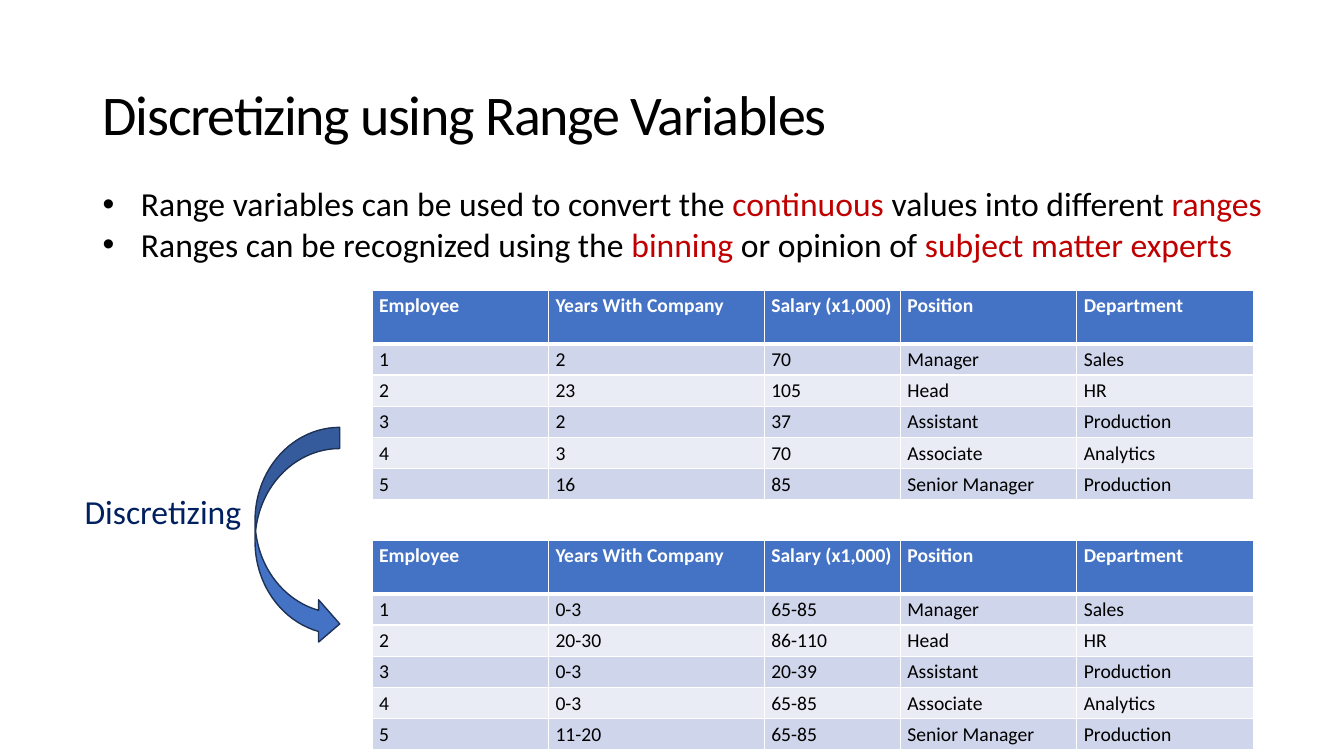
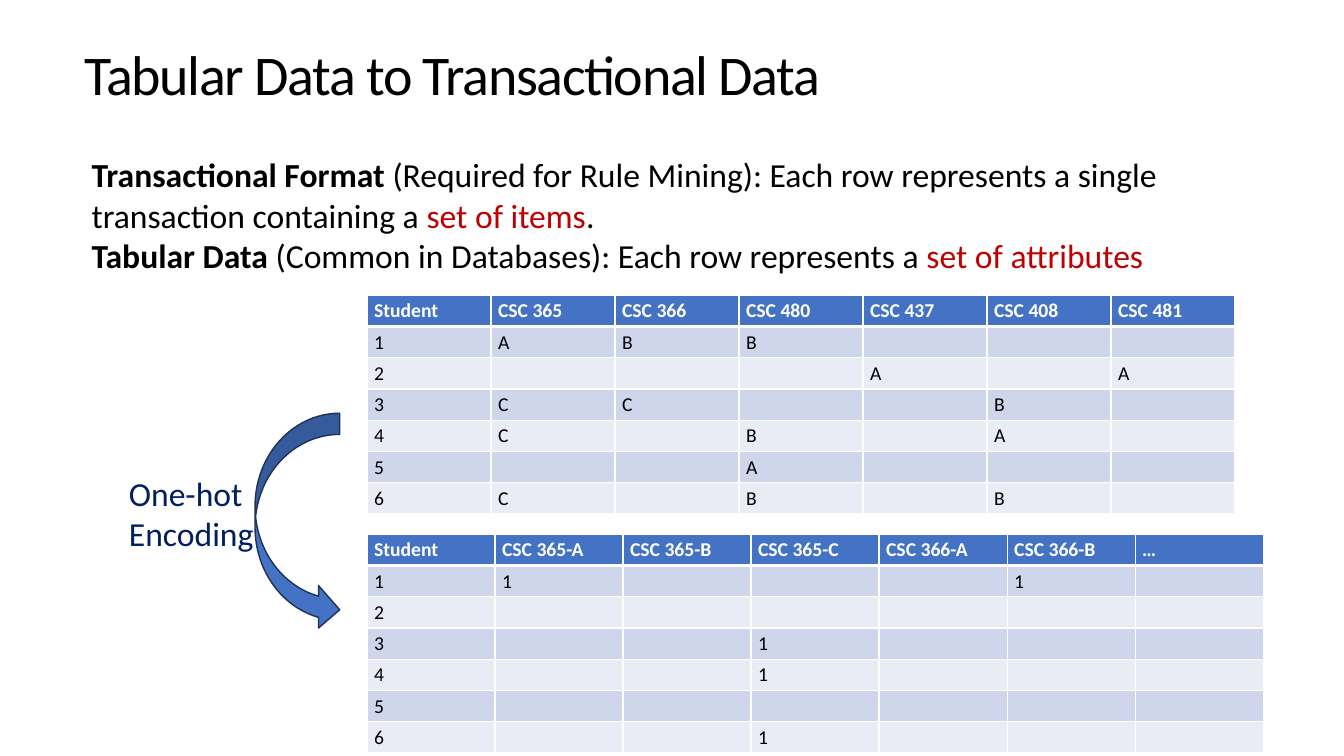
from lxml.etree import SubElement
from pptx import Presentation
from pptx.dml.color import RGBColor
from pptx.enum.shapes import MSO_SHAPE as Shape
from pptx.enum.text import MSO_ANCHOR as Anchor
from pptx.oxml.ns import qn
from pptx.util import Inches, Pt


def color(value):
    return RGBColor.from_string(value)


class Deck:
    font = "Calibri"
    black, white, red, navy = "000000", "FFFFFF", "C00000", "002060"
    blue, outline = "4472C4", "1E3256"
    bands = ("CFD5EA", "E9EBF5")
    title_size, body_size, table_size = 40, 24, 14
    row_height = 0.31

    def __init__(self):
        self.presentation = Presentation()
        self.presentation.slide_width = Inches(13.33)
        self.presentation.slide_height = Inches(7.5)
        self.slide = None

    def new_slide(self):
        self.slide = self.presentation.slides.add_slide(self.presentation.slide_layouts[6])

    def add_run(self, paragraph, text, size, fill, bold=False):
        run = paragraph.add_run()
        run.text = text
        run.font.name = self.font
        run.font.size = Pt(size)
        run.font.bold = bold
        run.font.color.rgb = color(fill)
        return run

    def text_frame(self, left, top, width, height):
        box = self.slide.shapes.add_textbox(Inches(left), Inches(top), Inches(width), Inches(height))
        box.text_frame.word_wrap = True
        return box.text_frame

    def title(self, text, left, top, width, indent=0, spacing=0.9):
        frame = self.text_frame(left, top, width, 1.45)
        frame.vertical_anchor = Anchor.MIDDLE
        paragraph = frame.paragraphs[0]
        paragraph.line_spacing = spacing
        paragraph._p.get_or_add_pPr().set("marL", str(Inches(indent)))
        run = self.add_run(paragraph, text, self.title_size, self.black)
        run.font._element.set("spc", "-90")

    def text(self, left, top, width, height, paragraphs, bullets=False):
        frame = self.text_frame(left, top, width, height)
        for index, runs in enumerate(paragraphs):
            paragraph = frame.add_paragraph() if index else frame.paragraphs[0]
            if bullets:
                properties = paragraph._p.get_or_add_pPr()
                properties.set("marL", str(Inches(0.38)))
                properties.set("indent", str(Inches(-0.38)))
                SubElement(properties, qn("a:buFont"), typeface="Arial")
                SubElement(properties, qn("a:buChar"), char="•")
            for text, fill, bold in runs:
                self.add_run(paragraph, text, self.body_size, fill, bold)

    def label(self, text, left, top, width, height):
        self.text(left, top, width, height, [[(text, self.navy, False)]])

    def curved_arrow(self, top):
        shape = self.slide.shapes.add_shape(
            Shape.CURVED_RIGHT_ARROW, Inches(2.53), Inches(top), Inches(0.84), Inches(2.16))
        shape.shadow.inherit = False
        shape.fill.solid()
        shape.fill.fore_color.rgb = color(self.blue)
        shape.line.color.rgb = color(self.outline)
        shape.line.width = Pt(1)

    def borders(self, cell, row):
        widths = {"L": 1, "R": 1, "T": 3 if row == 1 else 1, "B": 3 if row == 0 else 1}
        properties = cell._tc.get_or_add_tcPr()
        for side, width in widths.items():
            line = SubElement(properties, qn(f"a:ln{side}"), w=str(Pt(width)))
            SubElement(SubElement(line, qn("a:solidFill")), qn("a:srgbClr"), val=self.white)

    def cell(self, cell, row, text):
        cell.margin_left = cell.margin_right = Inches(0.07)
        cell.margin_top, cell.margin_bottom = Inches(0.04), Inches(0.03)
        self.borders(cell, row)
        header = row == 0
        cell.fill.solid()
        cell.fill.fore_color.rgb = color(self.blue if header else self.bands[(row - 1) % 2])
        paragraph = cell.text_frame.paragraphs[0]
        if text:
            self.add_run(paragraph, text, self.table_size, self.white if header else self.black, header)
        else:
            SubElement(paragraph._p, qn("a:endParaRPr"), sz=str(self.table_size * 100))

    def table(self, left, top, widths, rows, header_height=row_height):
        heights = [header_height] + [self.row_height] * (len(rows) - 1)
        table = self.slide.shapes.add_table(
            len(rows), len(widths), Inches(left), Inches(top),
            Inches(sum(widths)), Inches(sum(heights))).table
        for column, width in zip(table.columns, widths):
            column.width = Inches(width)
        for index, (values, height) in enumerate(zip(rows, heights)):
            table.rows[index].height = Inches(height)
            for column, value in enumerate(values):
                self.cell(table.cell(index, column), index, value)


def discretizing_slide(deck):
    deck.new_slide()
    deck.title("Discretizing using Range Variables", 0.92, 0.23, 11.5, spacing=1.5)
    header = ("Employee", "Years With Company", "Salary (x1,000)", "Position", "Department")
    jobs = [("Manager", "Sales"), ("Head", "HR"), ("Assistant", "Production"),
            ("Associate", "Analytics"), ("Senior Manager", "Production")]
    exact = [("2", "70"), ("23", "105"), ("2", "37"), ("3", "70"), ("16", "85")]
    ranges = [("0-3", "65-85"), ("20-30", "86-110"), ("0-3", "20-39"),
              ("0-3", "65-85"), ("11-20", "65-85")]
    for top, numbers in ((2.88, exact), (5.36, ranges)):
        rows = [(str(employee), *pair, *job)
                for employee, (pair, job) in enumerate(zip(numbers, jobs), 1)]
        deck.table(3.69, top, (1.75, 2.14, 1.35, 1.75, 1.75), [header] + rows, 0.53)
    deck.curved_arrow(4.24)
    deck.text(0.92, 1.77, 11.8, 0.91, [
        [("Range variables can be used to convert the ", deck.black, False),
         ("continuous", deck.red, False),
         (" values into different ", deck.black, False),
         ("ranges", deck.red, False)],
        [("Ranges can be recognized using the ", deck.black, False),
         ("binning", deck.red, False),
         (" or opinion of ", deck.black, False),
         ("subject matter experts", deck.red, False)],
    ], bullets=True)
    deck.label("Discretizing", 0.74, 4.82, 2.03, 0.5)


def transactional_slide(deck):
    deck.new_slide()
    deck.title("Tabular Data to Transactional Data", 0.24, 0.04, 12.86, indent=0.5)
    grades = [
        ("Student", "CSC 365", "CSC 366", "CSC 480", "CSC 437", "CSC 408", "CSC 481"),
        ("1", "A", "B", "B", "", "", ""),
        ("2", "", "", "", "A", "", "A"),
        ("3", "C", "C", "", "", "B", ""),
        ("4", "C", "", "B", "", "A", ""),
        ("5", "", "", "A", "", "", ""),
        ("6", "C", "", "B", "", "B", ""),
    ]
    encoded = [
        ("Student", "CSC 365-A", "CSC 365-B", "CSC 365-C", "CSC 366-A", "CSC 366-B", "…"),
        ("1", "1", "", "", "", "1", ""),
        ("2", "", "", "", "", "", ""),
        ("3", "", "", "1", "", "", ""),
        ("4", "", "", "1", "", "", ""),
        ("5", "", "", "", "", "", ""),
        ("6", "", "", "1", "", "", ""),
    ]
    deck.table(3.64, 2.93, [1.23] * 7, grades)
    deck.table(3.64, 5.3, [1.27] * 7, encoded)
    deck.curved_arrow(4.1)
    deck.text(0.81, 1.48, 11.92, 1.72, [
        [("Transactional Format ", deck.black, True),
         ("(Required for Rule Mining): Each row represents a single transaction containing a ",
          deck.black, False),
         ("set of items", deck.red, False),
         (".", deck.black, False)],
        [("Tabular Data ", deck.black, True),
         ("(Common in Databases): Each row represents a ", deck.black, False),
         ("set of attributes", deck.red, False)],
    ])
    deck.label("One-hot Encoding", 1.18, 4.64, 1.52, 0.91)


def main():
    deck = Deck()
    discretizing_slide(deck)
    transactional_slide(deck)
    deck.presentation.save("out.pptx")


if __name__ == "__main__":
    main()
